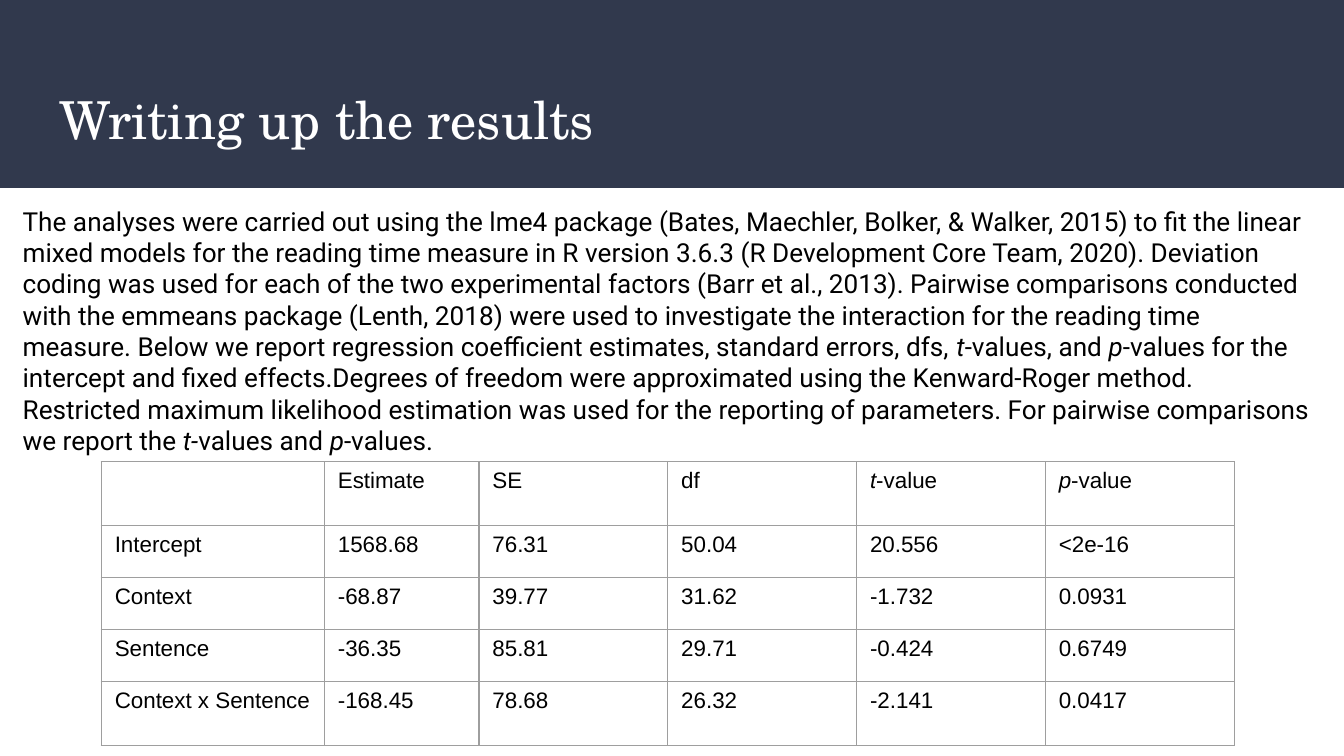
from lxml.etree import SubElement
from pptx import Presentation
from pptx.dml.color import RGBColor
from pptx.enum.shapes import MSO_SHAPE as Shape
from pptx.enum.text import MSO_ANCHOR as Anchor
from pptx.oxml.ns import qn
from pptx.util import Inches, Pt

# Widescreen, 16 to 9
WIDTH = Inches(10)
HEIGHT = WIDTH * 9 // 16
NAVY, WHITE, BLACK, GREY = "31394D", "FFFFFF", "000000", "9E9E9E"

# Asterisks enclose italic words
REPORT = (
    "The analyses were carried out using the lme4 package (Bates, Maechler, "
    "Bolker, & Walker, 2015) to fit the linear mixed models for the reading "
    "time measure in R version 3.6.3 (R Development Core Team, 2020). "
    "Deviation coding was used for each of the two experimental factors "
    "(Barr et al., 2013). Pairwise comparisons conducted with the emmeans "
    "package (Lenth, 2018) were used to investigate the interaction for the "
    "reading time measure. Below we report regression coefficient estimates, "
    "standard errors, dfs, *t*-values, and *p*-values for the intercept and "
    "fixed effects.Degrees of freedom were approximated using the "
    "Kenward-Roger method. Restricted maximum likelihood estimation was used "
    "for the reporting of parameters. For pairwise comparisons we report the "
    "*t-*values and *p*-values."
)
RESULTS = [
    ["", "Estimate", "SE", "df", "*t*-value", "*p*-value"],
    ["Intercept", "1568.68", "76.31", "50.04", "20.556", "<2e-16"],
    ["Context", "-68.87", "39.77", "31.62", "-1.732", "0.0931"],
    ["Sentence", "-36.35", "85.81", "29.71", "-0.424", "0.6749"],
    ["Context x Sentence", "-168.45", "78.68", "26.32", "-2.141", "0.0417"],
]
COLUMN_SHARES = [16.6, 11.5] + [14.05] * 4
ROW_SHARES = [8.47, 6.88, 6.88, 6.88, 8.47]


def color(code):
    return RGBColor.from_string(code)


def across(percent):
    return round(WIDTH * percent / 100)


def down(percent):
    return round(HEIGHT * percent / 100)


def area(left, top, width, height):
    """Turn percentages of the slide into a position and a size."""
    return across(left), down(top), across(width), down(height)


def write(frame, text, font, size, ink):
    para = frame.paragraphs[0]
    for index, part in enumerate(text.split("*")):
        if part:
            span = para.add_run()
            span.text = part
            span.font.italic = index % 2 == 1
            span.font.name, span.font.size = font, Pt(size)
            span.font.color.rgb = color(ink)


def add_band(page, place, fill):
    band = page.shapes.add_shape(Shape.RECTANGLE, *place)
    band.shadow.inherit = False
    band.fill.solid()
    band.fill.fore_color.rgb = color(fill)
    band.line.fill.background()


def add_text(page, place, text, font, size, ink, anchor=Anchor.TOP):
    frame = page.shapes.add_textbox(*place).text_frame
    frame.word_wrap = True
    frame.vertical_anchor = anchor
    frame.margin_left = frame.margin_right = Inches(0.1)
    frame.margin_top = frame.margin_bottom = Inches(0.1)
    write(frame, text, font, size, ink)


def add_borders(cell, ink, width):
    properties = cell._tc.get_or_add_tcPr()
    for side in ("a:lnL", "a:lnR", "a:lnT", "a:lnB"):
        line = SubElement(properties, qn(side), w=str(Pt(width)))
        fill = SubElement(line, qn("a:solidFill"))
        SubElement(fill, qn("a:srgbClr"), val=ink)


def add_results_table(page, left, top):
    place = area(left, top, sum(COLUMN_SHARES), sum(ROW_SHARES))
    table = page.shapes.add_table(len(RESULTS), len(RESULTS[0]), *place).table
    table.first_row = table.horz_banding = False
    for column, share in zip(table.columns, COLUMN_SHARES):
        column.width = across(share)
    for row, share, values in zip(table.rows, ROW_SHARES, RESULTS):
        row.height = down(share)
        for cell, value in zip(row.cells, values):
            add_borders(cell, GREY, 0.75)
            cell.fill.background()
            write(cell.text_frame, value, "Arial", 12, BLACK)


def main():
    deck = Presentation()
    deck.slide_width, deck.slide_height = WIDTH, HEIGHT
    page = deck.slides.add_slide(deck.slide_layouts[6])

    # Header
    add_band(page, area(0, 0, 100, 24.87), NAVY)
    add_text(page, area(3.42, 9.7, 93.2, 12.09), "Writing up the results",
             "TeX Gyre Schola", 28, WHITE, Anchor.MIDDLE)

    # Report and regression table
    add_text(page, area(0.7, 25.33, 97.9, 34.49), REPORT, "Roboto", 14, BLACK)
    add_results_table(page, 7.54, 61.06)

    deck.save("out.pptx")


if __name__ == "__main__":
    main()
